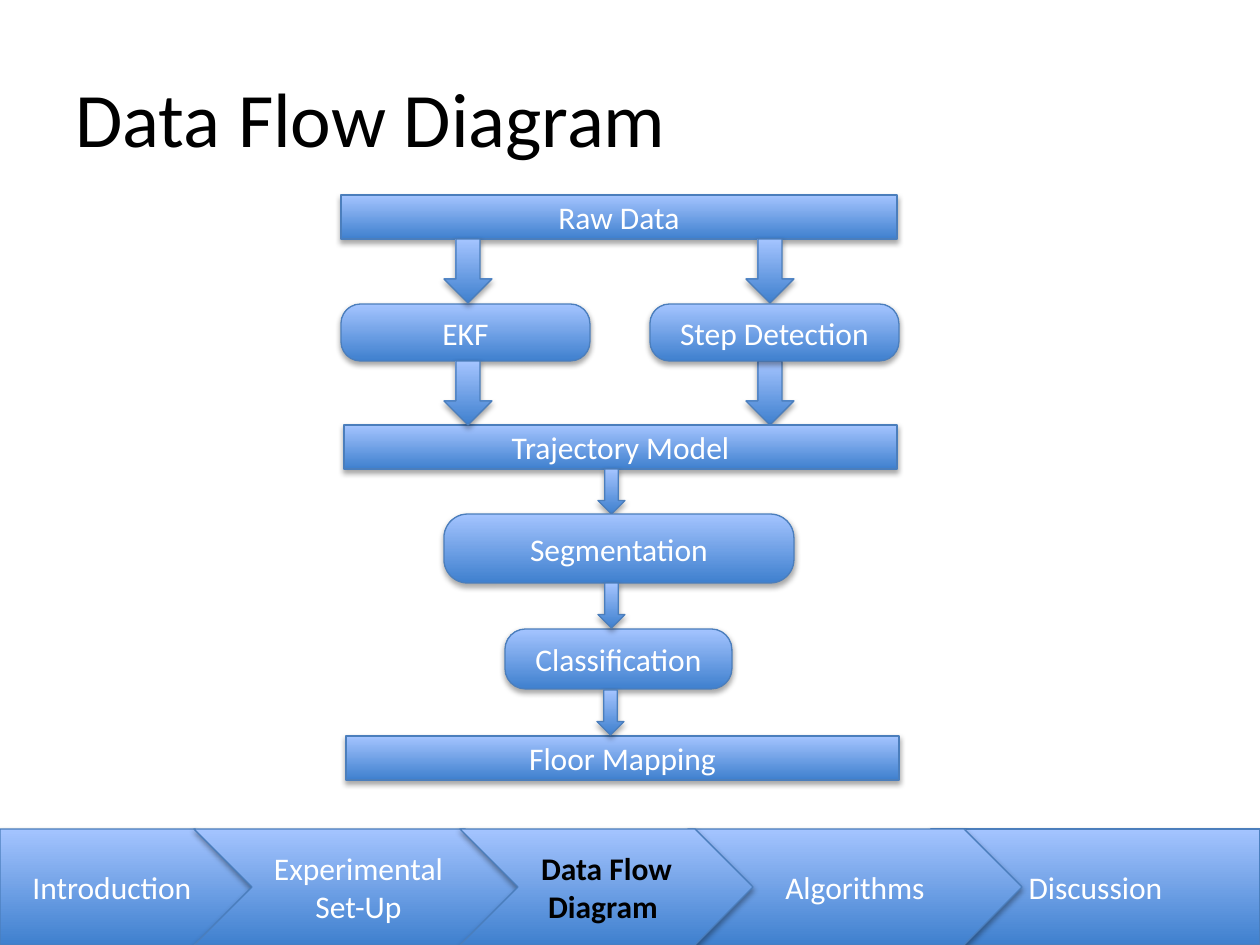
from typing import NamedTuple

from lxml import etree
from pptx import Presentation
from pptx.dml.color import RGBColor
from pptx.enum.shapes import MSO_SHAPE as Preset
from pptx.enum.text import MSO_ANCHOR as Anchor, PP_ALIGN as Align
from pptx.oxml.ns import qn
from pptx.util import Emu, Pt

EMU_PER_PX = 914400 / 126
FONT = "Calibri"
DARK_BLUE, LIGHT_BLUE, LINE_BLUE = "3F80CE", "A4C4FF", "4B7EBC"
WHITE, BLACK = "FFFFFF", "000000"
BAR_HEIGHT = 44
CORNER = 0.343
NAV_TOP, NAV_HEIGHT = 829, 116


class Block(NamedTuple):
    preset: Preset
    left: int
    top: int
    width: int
    height: int
    label: str = ""
    current: bool = False


def px(length: int) -> Emu:
    return Emu(round(length * EMU_PER_PX))


def colour(value: str) -> RGBColor:
    return RGBColor.from_string(value)


def bar(label: str, left: int, top: int, width: int) -> Block:
    return Block(Preset.RECTANGLE, left, top, width, BAR_HEIGHT, label)


def step(label: str, left: int, top: int, width: int, height: int) -> Block:
    return Block(Preset.ROUNDED_RECTANGLE, left, top, width, height, label)


def large_arrow(left: int, top: int) -> Block:
    return Block(Preset.DOWN_ARROW, left, top, 48, 64)


def small_arrow(left: int, top: int) -> Block:
    return Block(Preset.DOWN_ARROW, left, top, 27, 45)


def nav(preset: Preset, label: str, left: int, width: int, current: bool = False) -> Block:
    return Block(preset, left, NAV_TOP, width, NAV_HEIGHT, label, current)


FLOW = [
    step("EKF", 341, 304, 249, 57),
    bar("Raw Data", 341, 195, 556),
    large_arrow(746, 239),
    large_arrow(444, 239),
    large_arrow(746, 361),
    bar("Trajectory Model", 344, 425, 553),
    large_arrow(444, 361),
    step("Step Detection", 650, 304, 249, 57),
    small_arrow(598, 469),
    step("Segmentation", 444, 514, 350, 69),
    step("Classification", 505, 629, 227, 60),
    small_arrow(598, 583),
    bar("Floor Mapping", 346, 736, 553),
    small_arrow(597, 690),
]

NAVIGATION = [
    nav(Preset.RECTANGLE, "Discussion", 931, 329),
    nav(Preset.PENTAGON, "Introduction", 0, 253),
    nav(Preset.CHEVRON, "Algorithms", 688, 334),
    nav(Preset.CHEVRON, "Experimental Set-Up", 194, 329),
    nav(Preset.CHEVRON, "Data Flow Diagram ", 460, 293, current=True),
]


def add_shadow(shape) -> None:
    shape.shadow.inherit = False
    effects = shape._element.spPr.find(qn("a:effectLst"))
    shadow = etree.SubElement(effects, qn("a:outerShdw"), blurRad="40000",
                              dist="23000", dir="5400000", rotWithShape="0")
    tint = etree.SubElement(shadow, qn("a:srgbClr"), val=BLACK)
    etree.SubElement(tint, qn("a:alpha"), val="35000")


def draw_block(shapes, block: Block) -> None:
    shape = shapes.add_shape(block.preset, px(block.left), px(block.top),
                             px(block.width), px(block.height))
    if block.preset == Preset.ROUNDED_RECTANGLE:
        shape.adjustments[0] = CORNER
    shape.fill.gradient()
    shape.fill.gradient_angle = 90
    for stop, position, value in zip(shape.fill.gradient_stops, (0, 1), (DARK_BLUE, LIGHT_BLUE)):
        stop.position = position
        stop.color.rgb = colour(value)
    shape.line.color.rgb = colour(LINE_BLUE)
    shape.line.width = Pt(0.75)
    add_shadow(shape)
    if block.label:
        write(shape.text_frame, block.label, 18, BLACK if block.current else WHITE,
              Align.CENTER, block.current)


def write(frame, text: str, size: int, value: str, align: Align, bold: bool = False) -> None:
    frame.word_wrap = True
    frame.vertical_anchor = Anchor.MIDDLE
    paragraph = frame.paragraphs[0]
    paragraph.text = text
    paragraph.alignment = align
    font = paragraph.font
    font.name, font.size, font.bold = FONT, Pt(size), bold
    font.color.rgb = colour(value)


def main() -> None:
    deck = Presentation()
    deck.slide_width, deck.slide_height = px(1260), px(945)
    page = deck.slides.add_slide(deck.slide_layouts[6])
    title = page.shapes.add_textbox(px(63), px(38), px(1134), px(157))
    write(title.text_frame, "Data Flow Diagram", 44, BLACK, Align.LEFT)
    for blocks in (FLOW, NAVIGATION):
        group = page.shapes.add_group_shape()
        for block in blocks:
            draw_block(group.shapes, block)
    deck.save("out.pptx")


if __name__ == "__main__":
    main()
